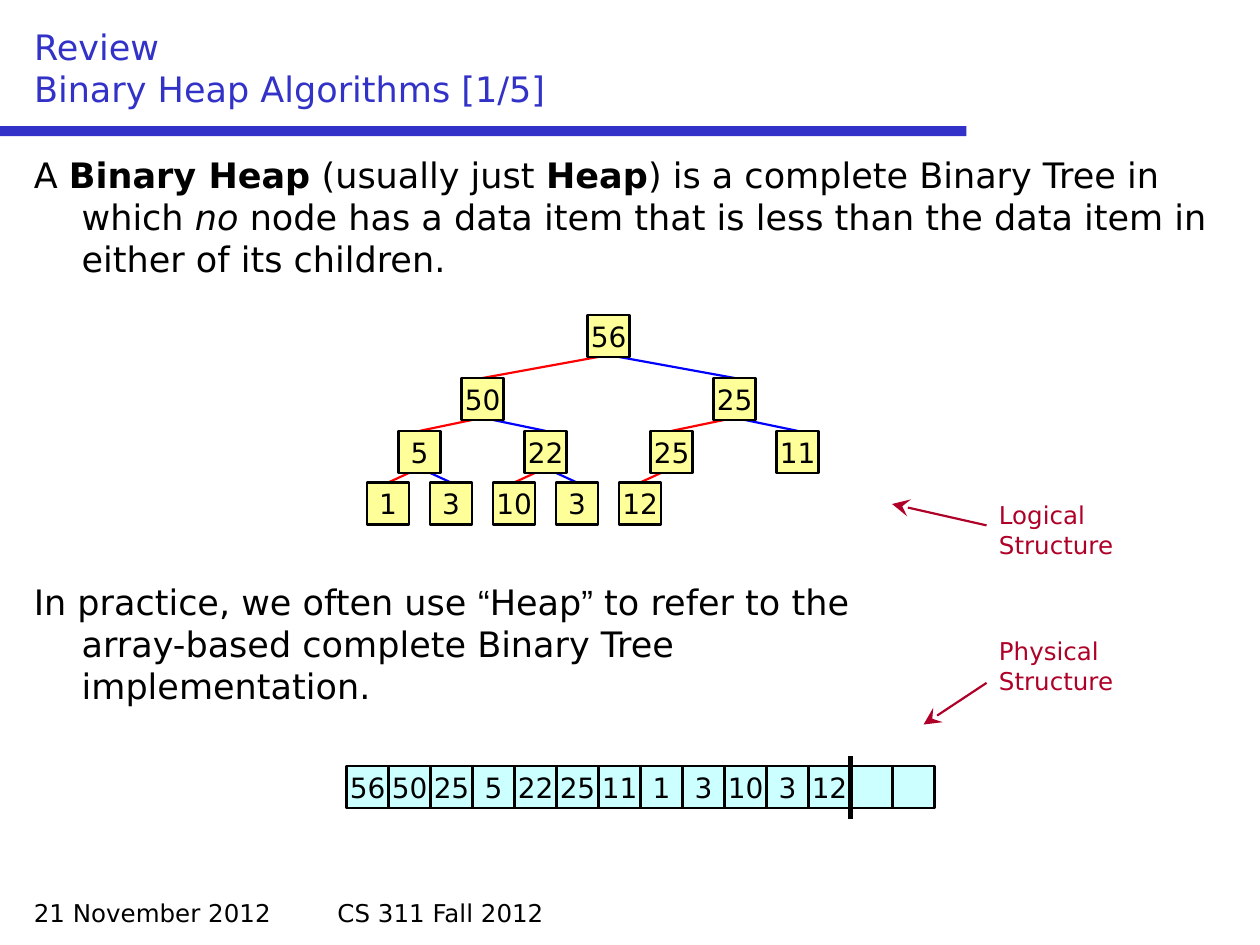
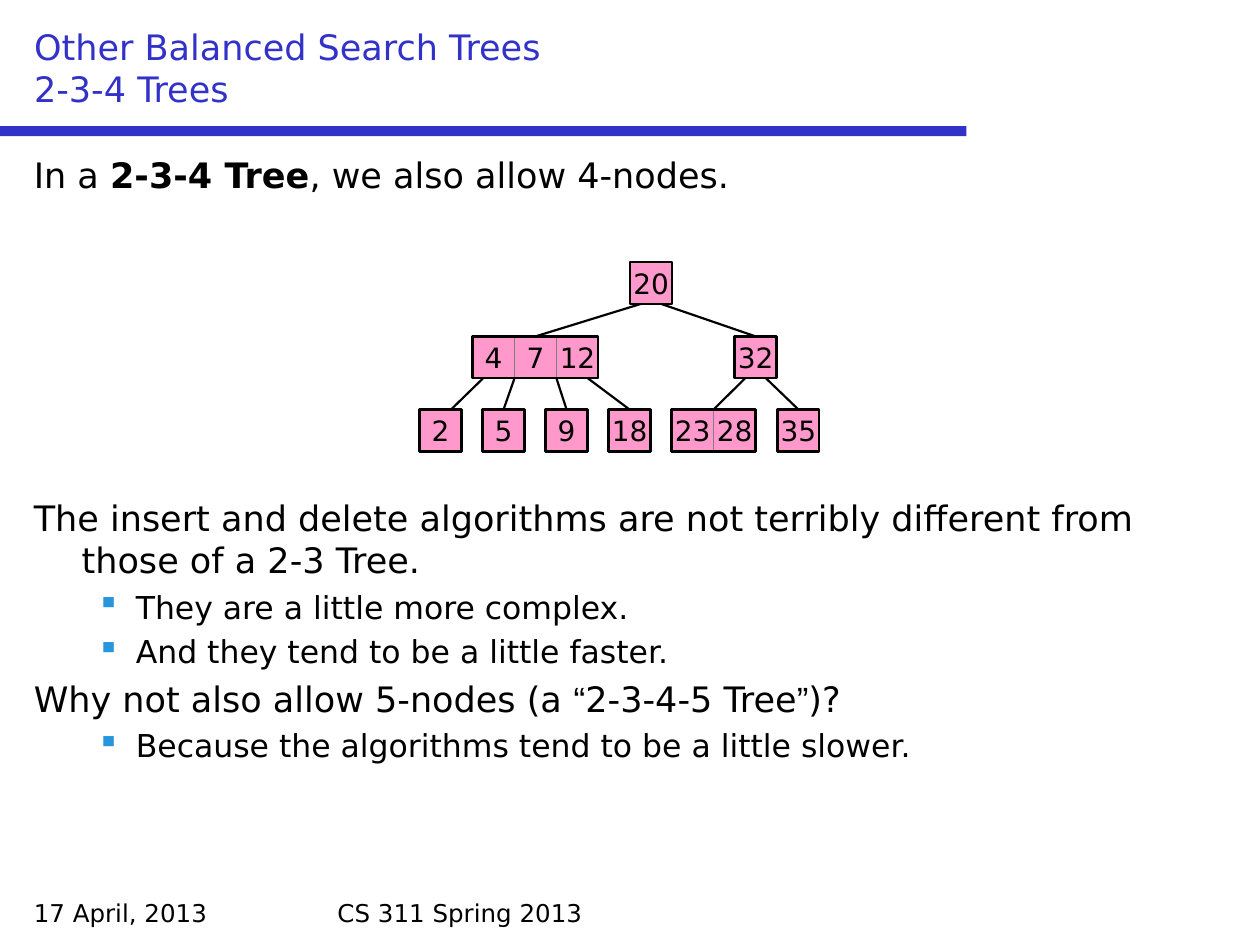
from lxml.etree import SubElement
from pptx import Presentation
from pptx.dml.color import RGBColor
from pptx.enum.shapes import MSO_CONNECTOR, MSO_SHAPE
from pptx.enum.text import MSO_ANCHOR, MSO_AUTO_SIZE, PP_ALIGN
from pptx.oxml.ns import qn
from pptx.util import Inches, Pt

INDIGO = RGBColor(0x32, 0x32, 0xC8)
BLACK = RGBColor(0, 0, 0)
GRAY = RGBColor(0x80, 0x80, 0x80)
RED = RGBColor(0xFF, 0, 0)
BLUE = RGBColor(0, 0, 0xFF)
CRIMSON = RGBColor(0xAF, 0, 0x28)
YELLOW = RGBColor(0xFF, 0xFF, 0x99)
CYAN = RGBColor(0xCC, 0xFF, 0xFF)
PINK = RGBColor(0xFF, 0x99, 0xCC)
BULLET_COLOR = "2896DC"

FONT = "DejaVu Sans"
QUOTE_FONT = "Arial"
CELL = 1 / 3
EDGE_INSET = 1 / 12
TREE_GAP = 172

HEAP_BODY = [
    (0, 0, [("A ", ""), ("Binary Heap", "b"), (" (usually just ", ""), ("Heap", "b"),
            (") is a complete Binary Tree in which ", ""), ("no", "i"),
            (" node has a data item that is less than the data item in either of its children.", "")]),
    (0, TREE_GAP, [("In practice, we often use ", ""), ("“", "q"), ("Heap", ""), ("”", "q"),
                   (" to refer to the\narray-based complete Binary Tree\nimplementation.", "")]),
]
HEAP_ITEMS = [56, 50, 25, 5, 22, 25, 11, 1, 3, 10, 3, 12]
HEAP_LEVEL_TOPS = [2.5, 3, 3.42, 3.83]
HEAP_CENTER, HEAP_WIDTH = 4.83, 4
ARRAY_LEFT, ARRAY_TOP, ARRAY_CELLS = 2.75, 6.08, 14
STRUCTURE_LABELS = [
    ("Logical Structure", 3.92, (7.83, 4.17), (7.08, 4)),
    ("Physical Structure", 5, (7.83, 5.42), (7.33, 5.75)),
]

TREE_234_BODY = [
    (0, 0, [("In a ", ""), ("2-3-4 Tree", "b"), (", we also allow 4-nodes.", "")]),
    (0, TREE_GAP, [("The insert and delete algorithms are not terribly different from "
                    "those of a 2-3 Tree.", "")]),
    (1, 4, [("They are a little more complex.", "")]),
    (1, 4, [("And they tend to be a little faster.", "")]),
    (0, 4, [("Why not also allow 5-nodes (a ", ""), ("“", "q"), ("2-3-4-5 Tree", ""),
            ("”", "q"), (")?", "")]),
    (1, 4, [("Because the algorithms tend to be a little slower.", "")]),
]
TREE_234_LEVEL_TOPS = [2.08, 2.67, 3.25]
TREE_234 = {
    "keys": [20], "left": 5, "children": [
        {"keys": [4, 7, 12], "left": 3.75, "children": [
            {"keys": [2], "left": 3.33, "edge_shift": EDGE_INSET},
            {"keys": [5], "left": 3.83},
            {"keys": [9], "left": 4.33},
            {"keys": [18], "left": 4.83}]},
        {"keys": [32], "left": 5.83, "children": [
            {"keys": [23, 28], "left": 5.33},
            {"keys": [35], "left": 6.17}]},
    ],
}


def style_span(span, size, color=BLACK, style=""):
    span.font.size = Pt(size)
    span.font.name = QUOTE_FONT if style == "q" else FONT
    span.font.color.rgb = color
    span.font.bold = style == "b"
    span.font.italic = style == "i"


def add_rectangle(page, left, top, width, height, fill=None, line=None, weight=1.25):
    box = page.shapes.add_shape(MSO_SHAPE.RECTANGLE, Inches(left), Inches(top),
                                Inches(width), Inches(height))
    box.shadow.inherit = False
    if fill is None:
        box.fill.background()
    else:
        box.fill.solid()
        box.fill.fore_color.rgb = fill
    if line is None:
        box.line.fill.background()
    else:
        box.line.color.rgb = line
        box.line.width = Pt(weight)
    return box


def add_cell(page, left, top, fill, value="", line=BLACK, weight=1.25):
    box = add_rectangle(page, left, top, CELL, CELL, fill, line, weight)
    frame = box.text_frame
    frame.margin_left = frame.margin_right = frame.margin_top = frame.margin_bottom = 0
    frame.word_wrap = False
    frame.vertical_anchor = MSO_ANCHOR.MIDDLE
    if value != "":
        frame.text = str(value)
        frame.paragraphs[0].alignment = PP_ALIGN.CENTER
        style_span(frame.paragraphs[0].runs[0], 16)


def add_line(page, start, end, color=BLACK, weight=1.25, arrow=False):
    line = page.shapes.add_connector(MSO_CONNECTOR.STRAIGHT, *map(Inches, start + end))
    line.line.color.rgb = color
    line.line.width = Pt(weight)
    if arrow:
        SubElement(line.line._get_or_add_ln(), qn("a:tailEnd"), type="stealth", w="lg", len="lg")
    SubElement(line._element.spPr, qn("a:effectLst"))


def add_text(page, text, left, top, width, height, size, color=BLACK):
    box = page.shapes.add_textbox(Inches(left), Inches(top), Inches(width), Inches(height))
    box.text_frame.word_wrap = True
    box.text_frame.text = text
    for span in box.text_frame.paragraphs[0].runs:
        style_span(span, size, color)


def indent(para, level):
    properties = para._p.get_or_add_pPr()
    margin, hanging = [(0.38, 0.38), (0.81, 0.31)][level]
    properties.set("marL", str(Inches(margin)))
    properties.set("indent", str(-Inches(hanging)))
    if level:
        color = SubElement(properties, qn("a:buClr"))
        SubElement(color, qn("a:srgbClr"), val=BULLET_COLOR)
        SubElement(properties, qn("a:buChar"), char="▪")
    else:
        SubElement(properties, qn("a:buNone"))


def add_body(page, paragraphs):
    box = page.shapes.add_textbox(Inches(0.17), Inches(1.17), Inches(9.67), Inches(5.83))
    frame = box.text_frame
    frame.word_wrap = True
    for number, (level, space, pieces) in enumerate(paragraphs):
        para = frame.add_paragraph() if number else frame.paragraphs[0]
        para.level = level
        indent(para, level)
        para.space_before = Pt(space)
        for text, style in pieces:
            for row, part in enumerate(text.split("\n")):
                if row:
                    para.add_line_break()
                span = para.add_run()
                span.text = part
                style_span(span, 18 if level else 20, style=style)


def add_page(deck, title, date, course, body):
    page = deck.slides.add_slide(deck.slide_layouts[5])
    add_rectangle(page, 0, 1, 7.67, 0.08, INDIGO)
    add_text(page, date, 0.17, 7.08, 2.33, 0.33, 14)
    add_text(page, course, 2.58, 7.08, 4.83, 0.33, 14)
    box = page.shapes.title
    box.left, box.top, box.width, box.height = map(Inches, (0.17, 0.17, 9.67, 0.75))
    frame = box.text_frame
    frame.auto_size = MSO_AUTO_SIZE.NONE
    frame.vertical_anchor = MSO_ANCHOR.BOTTOM
    para = frame.paragraphs[0]
    para.text = title
    para.alignment = PP_ALIGN.LEFT
    for span in para.runs:
        style_span(span, 20, INDIGO)
    add_body(page, body)
    return page


def heap_place(index):
    depth = (index + 1).bit_length() - 1
    level_size = 2 ** depth
    position = index + 1 - level_size
    center = HEAP_CENTER + HEAP_WIDTH * ((position + 0.5) / level_size - 0.5)
    return center, HEAP_LEVEL_TOPS[depth]


def add_heap(page):
    for index in range(1, len(HEAP_ITEMS)):
        center, top = heap_place((index - 1) // 2)
        is_left = index % 2 == 1
        start = (center + (-EDGE_INSET if is_left else EDGE_INSET), top + CELL)
        add_line(page, start, heap_place(index), RED if is_left else BLUE)
    for index, item in enumerate(HEAP_ITEMS):
        center, top = heap_place(index)
        add_cell(page, center - CELL / 2, top, YELLOW, item)


def add_array(page):
    for index in range(ARRAY_CELLS):
        value = HEAP_ITEMS[index] if index < len(HEAP_ITEMS) else ""
        add_cell(page, ARRAY_LEFT + index * CELL, ARRAY_TOP, CYAN, value)
    end = ARRAY_LEFT + len(HEAP_ITEMS) * CELL
    add_line(page, (end, 6), (end, 6.5), weight=3)


def add_tree(page, node, depth=0):
    keys, left, top = node["keys"], node["left"], TREE_234_LEVEL_TOPS[depth]
    width = len(keys) * CELL
    children = node.get("children", [])
    for number, child in enumerate(children):
        start = left + number * CELL
        if number == 0:
            start += EDGE_INSET
        elif number == len(children) - 1:
            start -= EDGE_INSET
        end = child["left"] + len(child["keys"]) * CELL / 2 + child.get("edge_shift", 0)
        add_line(page, (start, top + CELL), (end, TREE_234_LEVEL_TOPS[depth + 1]))
        add_tree(page, child, depth + 1)
    shared = len(keys) > 1
    for number, key in enumerate(keys):
        add_cell(page, left + number * CELL, top, PINK, key,
                 GRAY if shared else BLACK, 0.75 if shared else 1.25)
    if shared:
        add_rectangle(page, left, top, width, CELL, line=BLACK)


def main():
    deck = Presentation()
    deck.slide_width, deck.slide_height = Inches(10), Inches(7.5)

    page = add_page(deck, "Review\vBinary Heap Algorithms [1/5]",
                    "21 November 2012", "CS 311 Fall 2012", HEAP_BODY)
    add_heap(page)
    add_array(page)
    for text, top, start, end in STRUCTURE_LABELS:
        add_text(page, text, 7.83, top, 1.42, 0.58, 14, CRIMSON)
        add_line(page, start, end, CRIMSON, arrow=True)

    page = add_page(deck, "Other Balanced Search Trees\v2-3-4 Trees",
                    "17 April, 2013", "CS 311 Spring 2013", TREE_234_BODY)
    add_tree(page, TREE_234)
    deck.save("out.pptx")


if __name__ == "__main__":
    main()
